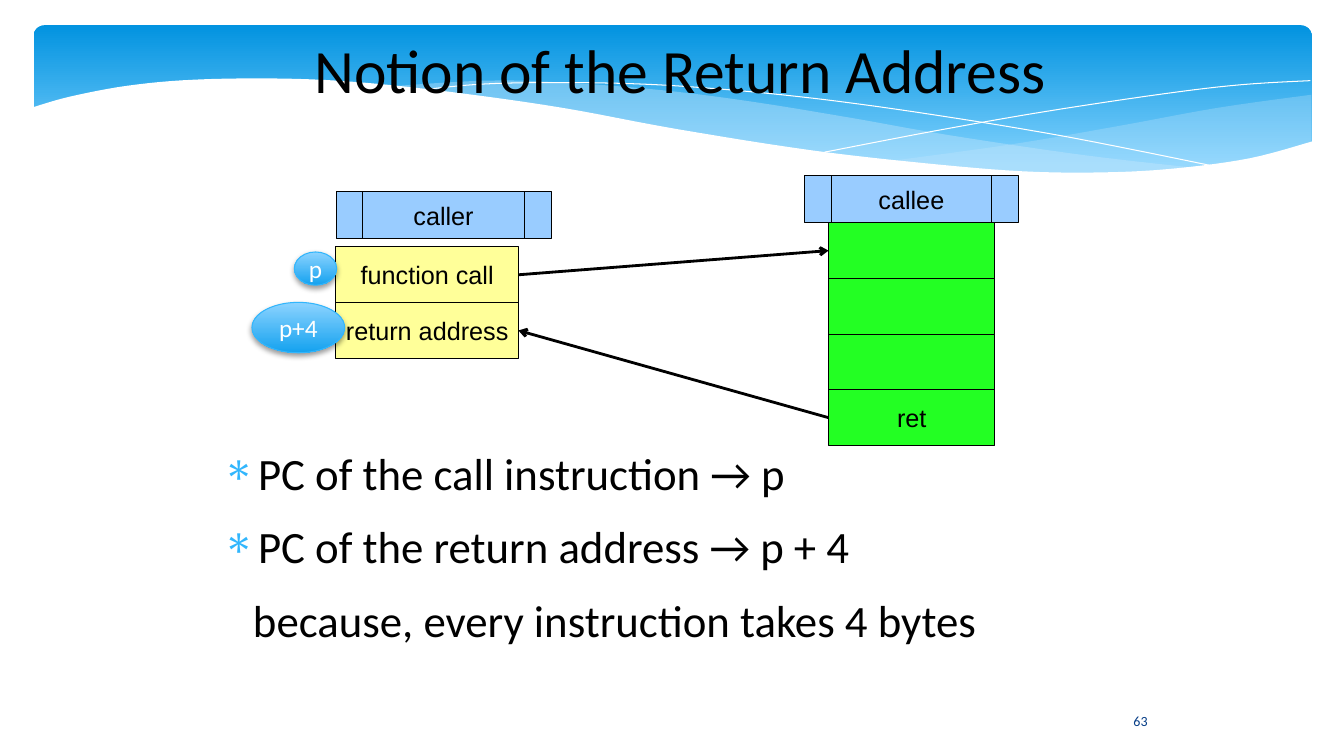
from itertools import chain
from typing import NamedTuple

from lxml import etree
from pptx import Presentation
from pptx import util as u
from pptx.dml.color import RGBColor
from pptx.enum import shapes, text
from pptx.oxml import parse_xml
from pptx.oxml.ns import qn

SLIDE_W, SLIDE_H = u.Inches(13.33), u.Inches(7.5)
COLS, ROWS = 40, 30
CELL_ROWS = 2.21
A_NS = 'xmlns:a="http://schemas.openxmlformats.org/drawingml/2006/main"'

BLACK, WHITE = RGBColor(0, 0, 0), RGBColor(255, 255, 255)
BAND_TOP, BAND_BOTTOM = RGBColor(0x02, 0x93, 0xE0), RGBColor(0x83, 0xD3, 0xFE)
SWELL = RGBColor(0xC6, 0xE7, 0xFC)
NAME_BLUE = RGBColor(0x99, 0xCC, 0xFF)
CALLER_YELLOW = RGBColor(0xFF, 0xFF, 0x99)
CALLEE_GREEN = RGBColor(0x23, 0xFF, 0x23)
OVAL_TOP, OVAL_BOTTOM = RGBColor(0x8C, 0xD3, 0xFF), RGBColor(0x14, 0xA2, 0xEF)
ACCENT = RGBColor(0x31, 0xB6, 0xFD)
PAGE_BLUE = RGBColor(0x07, 0x3E, 0x87)

# Wave edges as (column, row) points
FAR_SWELL = [
    [(35.7, 6.68), (32.28, 6.16), (28.23, 5.36), (25.17, 4.64), (22.2, 4),
     (19.56, 3.56), (16.8, 3.28), (14.46, 3.2), (11.46, 3.44)],
    [(11.46, 3.44), (14.49, 3.88), (17.97, 4.64), (22.65, 5.72), (26.01, 6.32),
     (29.43, 6.76), (32.28, 6.92), (35.7, 6.68)]]
NEAR_SWELL = [
    [(39.03, 3.76), (36.24, 4.28), (33.3, 5), (30.15, 5.72), (26.46, 6.4)],
    [(26.46, 6.4), (29.28, 6.72), (31.68, 6.88), (33.78, 6.84), (35.58, 6.64),
     (37.41, 6.24), (39.03, 5.68)]]
THREADS = [
    [(12.36, 3.6), (14.1, 3.36), (16.05, 3.28), (18.75, 3.32), (21.3, 3.52),
     (24.33, 3.92), (27.81, 4.56), (31.8, 5.44), (36.3, 6.64)],
    [(24.54, 6.04), (27.81, 5.2), (31.05, 4.44), (34.65, 3.72), (36.96, 3.36),
     (39, 3.2)]]
FOAM = [
    [(39.09, 5.6), (37.2, 6.28), (35.01, 6.68), (32.91, 6.84), (30.45, 6.8),
     (27.54, 6.48), (24.12, 5.96), (20.13, 5.12), (16.74, 4.28), (13.59, 3.68),
     (10.83, 3.28), (8.46, 3.12), (5.82, 3.16), (3.81, 3.4), (2.07, 3.84), (0.93, 4.28)],
    [(0.93, 8.96), (39.09, 8.96)]]


class Box(NamedTuple):
    """A region in grid columns and rows."""
    col: float
    row: float
    cols: float
    rows: float

    def inner(self, col, row, cols, rows):
        return Box(self.col + col, self.row + row, cols, rows)

    def emu(self):
        return (round(self.col * SLIDE_W / COLS), round(self.row * SLIDE_H / ROWS),
                round(self.cols * SLIDE_W / COLS), round(self.rows * SLIDE_H / ROWS))


def smooth(points, steps=6):
    """Catmull-Rom curve through the points."""
    padded = [points[0], *points, points[-1]]
    for a, b, c, d in zip(padded, padded[1:], padded[2:], padded[3:]):
        for t in (step / steps for step in range(steps)):
            yield tuple(
                (2 * q + (r - p) * t + (2 * p - 5 * q + 4 * r - s) * t ** 2
                 + (3 * q - p - 3 * r + s) * t ** 3) / 2
                for p, q, r, s in zip(a, b, c, d))
    yield points[-1]


def shade(shape, top, bottom, end=1):
    """Vertical gradient from top to bottom."""
    shape.fill.gradient()
    shape.fill.gradient_angle = 270
    for stop, colour, position in zip(shape.fill.gradient_stops, (top, bottom), (0, end)):
        stop.color.rgb, stop.position = colour, position


def add_wave(slide, box, edges, fill=None, alpha=100):
    points = [box.inner(x, y, 0, 0).emu()[:2] for x, y in chain(*map(smooth, edges))]
    builder = slide.shapes.build_freeform(*points[0], scale=1.0)
    builder.add_line_segments(points[1:], close=fill is not None)
    wave = builder.convert_to_shape()
    wave.shadow.inherit = False
    if fill is None:
        wave.fill.background()
        wave.line.color.rgb, wave.line.width = WHITE, 0
        return
    wave.fill.solid()
    wave.fill.fore_color.rgb = fill
    wave.line.fill.background()
    colour = wave._element.spPr.find(qn("a:solidFill"))[0]
    etree.SubElement(colour, qn("a:alpha")).set("val", str(alpha * 1000))


def add_header(slide, box, heading):
    band = slide.shapes.add_shape(shapes.MSO_SHAPE.ROUNDED_RECTANGLE,
                                  *box.inner(1, 1, 38.04, 6.24).emu())
    band.adjustments[0] = 0.07
    band.shadow.inherit = False
    shade(band, BAND_TOP, BAND_BOTTOM, 0.9)
    band.line.fill.background()
    add_wave(slide, box, NEAR_SWELL, SWELL, 29)
    add_wave(slide, box, FAR_SWELL, SWELL, 40)
    for thread in THREADS:
        add_wave(slide, box, [thread])
    add_wave(slide, box, FOAM, WHITE)

    title = slide.shapes.title
    slide.shapes._spTree.append(title._element)
    title.left, title.top, title.width, title.height = box.inner(6, 0.68, 28.5, 4.08).emu()
    write(title, heading, 44, "Calibri", BLACK)


def write(shape, words, size, font, colour):
    """Centred single-line label."""
    frame = shape.text_frame
    frame.text = words
    frame.word_wrap = False
    frame.vertical_anchor = text.MSO_ANCHOR.MIDDLE
    line = frame.paragraphs[0]
    line.alignment = text.PP_ALIGN.CENTER
    line.font.size, line.font.name, line.font.color.rgb = u.Pt(size), font, colour


def add_block(slide, box, kind, fill, words):
    block = slide.shapes.add_shape(kind, *box.emu())
    block.shadow.inherit = False
    block.fill.solid()
    block.fill.fore_color.rgb = fill
    block.line.color.rgb, block.line.width = BLACK, 0
    if words:
        write(block, words, 18, "Arial", BLACK)
    return block


def add_routine(slide, box, name, fill, instructions, cells):
    """Name plate at the top of the box, with instruction cells stacked in the cells area."""
    stack = [add_block(slide, cells.inner(0, i * CELL_ROWS, cells.cols, CELL_ROWS),
                       shapes.MSO_SHAPE.RECTANGLE, fill, words)
             for i, words in enumerate(instructions)]
    add_block(slide, box.inner(0, 0, box.cols, 1.88),
              shapes.MSO_SHAPE.FLOWCHART_PREDEFINED_PROCESS, NAME_BLUE, name)
    return stack


def add_arrow(slide, source, target, source_side, target_side):
    arrow = slide.shapes.add_connector(shapes.MSO_CONNECTOR.STRAIGHT, 0, 0, 0, 0)
    arrow.begin_connect(source, source_side)
    arrow.end_connect(target, target_side)
    arrow.line.color.rgb, arrow.line.width = BLACK, 0
    etree.SubElement(arrow.line._get_or_add_ln(), qn("a:tailEnd")).set("type", "arrow")
    etree.SubElement(arrow._element.spPr, qn("a:effectLst"))


def add_address(slide, box, words):
    oval = slide.shapes.add_shape(shapes.MSO_SHAPE.OVAL, *box.emu())
    shade(oval, OVAL_TOP, OVAL_BOTTOM)
    oval.line.color.rgb, oval.line.width = ACCENT, u.Pt(0.75)
    oval._element.spPr.append(parse_xml(
        f'<a:effectLst {A_NS}><a:outerShdw blurRad="{u.Pt(4)}" dist="{u.Pt(2)}" dir="5400000" '
        'rotWithShape="0"><a:srgbClr val="000000"><a:alpha val="38000"/></a:srgbClr>'
        '</a:outerShdw></a:effectLst>'))
    write(oval, words, 18, "Calibri", WHITE)


def add_call_diagram(slide, box):
    caller = box.inner(2.5, 0.64, 6.4, 6.62)
    callee = box.inner(16.44, 0, 6.37, 10.72)
    call, return_address = add_routine(
        slide, caller, "caller", CALLER_YELLOW, ["function call", "return address"],
        caller.inner(0, 2.2, 5.43, 2 * CELL_ROWS))
    first, *_, ret = add_routine(
        slide, callee, "callee", CALLEE_GREEN, ["", "", "", "ret"],
        callee.inner(0.72, 1.88, 4.95, 4 * CELL_ROWS))
    add_arrow(slide, call, first, 3, 1)
    add_arrow(slide, ret, return_address, 1, 3)
    add_address(slide, box.inner(1.26, 3.04, 1.26, 1.32), "p")
    add_address(slide, box.inner(0, 5.04, 2.76, 2), "p+4")


def add_explanation(slide, box, points, reason):
    frame = slide.shapes.add_textbox(*box.emu()).text_frame
    frame.word_wrap = True
    frame.margin_left = frame.margin_right = frame.margin_top = frame.margin_bottom = 0
    frame.text = "\n".join([*points, reason])
    for i, line in enumerate(frame.paragraphs):
        bulleted = i < len(points)
        props = line._p.get_or_add_pPr()
        props.set("marL", str(u.Inches(0.47 if bulleted else 0.42)))
        props.set("indent", str(u.Inches(-0.35 if bulleted else 0)))
        line.space_after = u.Pt(14.1)
        if bulleted:
            colour = etree.SubElement(props, qn("a:buClr"))
            etree.SubElement(colour, qn("a:srgbClr")).set("val", str(ACCENT))
            etree.SubElement(props, qn("a:buFont")).set("typeface", "Symbol")
            etree.SubElement(props, qn("a:buChar")).set("char", "∗")
        line.font.size, line.font.name, line.font.color.rgb = u.Pt(32), "Calibri", BLACK


def main():
    deck = Presentation()
    deck.slide_width, deck.slide_height = SLIDE_W, SLIDE_H
    slide = deck.slides.add_slide(deck.slide_layouts[5])
    page = Box(0, 0, COLS, ROWS)
    add_header(slide, page, "Notion of the Return Address")
    add_explanation(slide, page.inner(6.27, 17.68, 27.72, 9.88),
                    ["PC of the call instruction → p", "PC of the return address → p + 4"],
                    "because, every instruction takes 4 bytes")
    add_call_diagram(slide, page.inner(7.5, 6.96, 22.81, 10.72))
    number = slide.shapes.add_textbox(*page.inner(33.03, 27.8, 1.83, 1.6).emu())
    write(number, "63", 10, "Calibri", PAGE_BLUE)
    deck.save("out.pptx")


if __name__ == "__main__":
    main()
